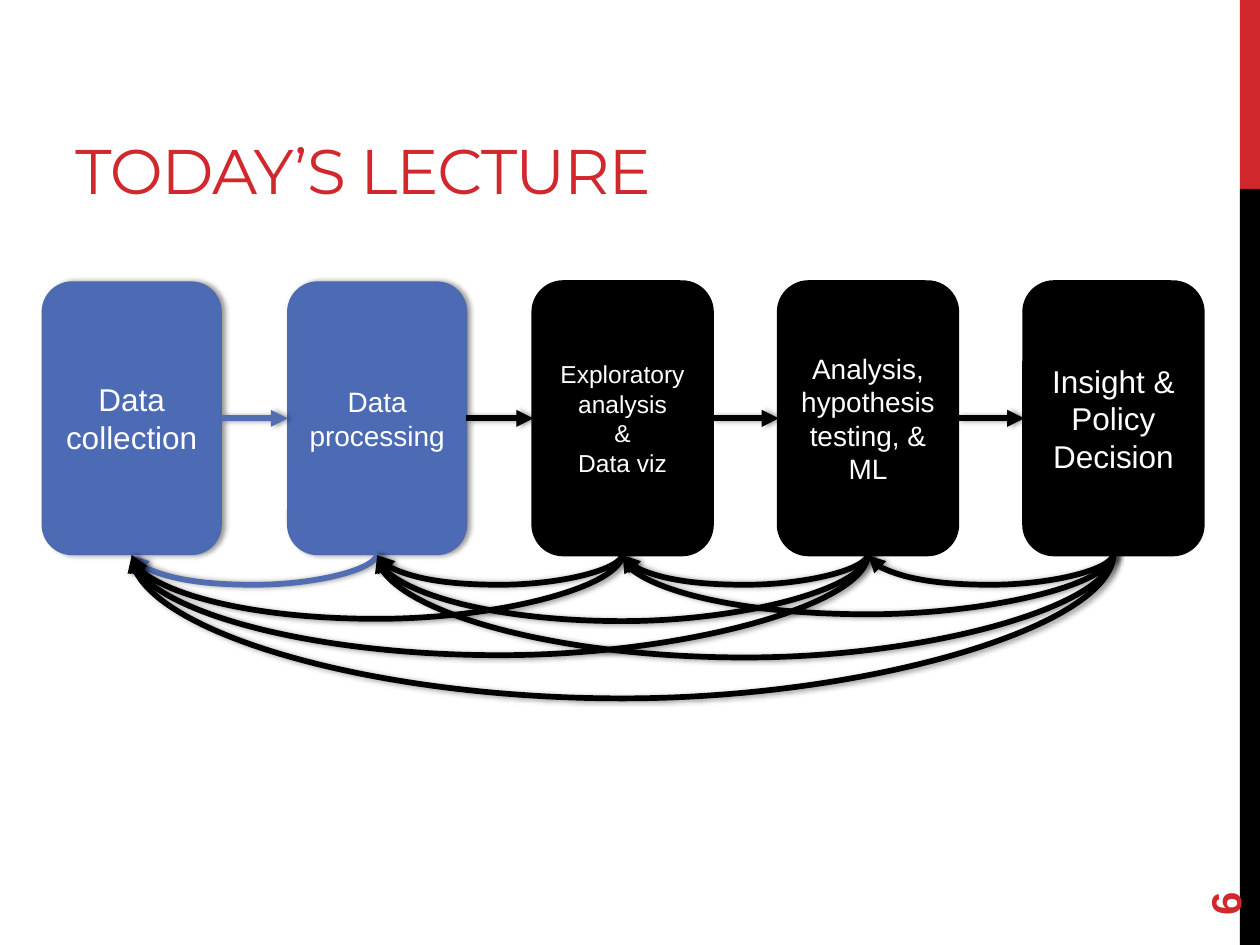
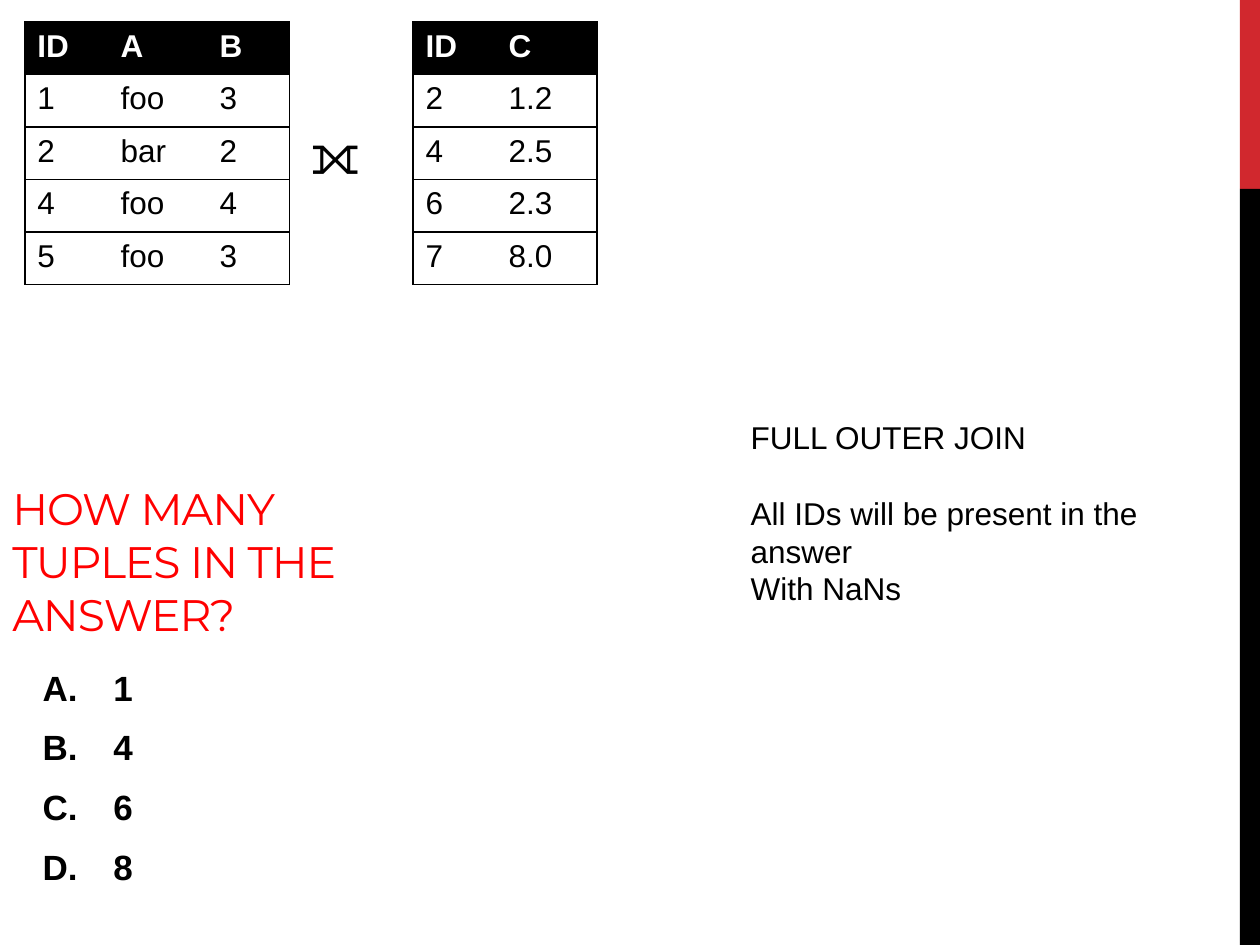
"""Build two lecture slides: the data pipeline and an outer join question."""
from dataclasses import dataclass
from typing import Any

from lxml import etree
from pptx import Presentation
from pptx.dml import color
from pptx.enum import shapes, text
from pptx.oxml import ns
from pptx.util import Pt

BLACK, WHITE, RED, BRIGHT_RED = "000000", "FFFFFF", "D1282E", "FF0000"
BLUE, BLUE_EDGE, BLUE_ARROW = "4D6BB5", "4E6AAE", "526DB0"
BODY_FONT, TITLE_FONT = "Arial", "Montserrat"
MIDDLE, BOTTOM = text.MSO_ANCHOR.MIDDLE, text.MSO_ANCHOR.BOTTOM
SIDE_LEFT, SIDE_BOTTOM, SIDE_RIGHT = 1, 2, 3
STAGE_LEFT, STAGE_TOP, STAGE_STEP = 24.3, 161.3, 140.25
STAGE_WIDTH, STAGE_HEIGHT = 102, 155.5
ROW_HEIGHT = 30


@dataclass(frozen=True)
class Area:
    """A rectangle in points."""
    left: float
    top: float
    width: float
    height: float

    def lengths(self) -> list:
        """Return the four sides as lengths."""
        return [Pt(v) for v in (self.left, self.top, self.width, self.height)]


@dataclass(frozen=True)
class Style:
    """The look of a run of text."""
    size: float = 18
    ink: str = BLACK
    font: str = BODY_FONT
    bold: bool = False
    spacing: int = 0


@dataclass(frozen=True)
class Stage:
    """One pipeline step, with the depth of each arc back to an earlier step."""
    lines: tuple
    size: float
    done: bool
    depths: tuple = ()


@dataclass(frozen=True)
class Relation:
    """A table of tuples and its place."""
    left: float
    widths: tuple
    rows: tuple


STAGES = (
    Stage(("Data collection",), 18, True),
    Stage(("Data processing",), 16, True, (18,)),
    Stage(("Exploratory analysis", "&", "Data viz"), 14, False, (18, 37.64)),
    Stage(("Analysis, hypothesis testing, & ML",), 16, False, (18, 38.95, 58.58)),
    Stage(("Insight & Policy Decision",), 18, False, (18, 35.02, 59.89, 83.46)),
)
RELATIONS = (
    Relation(14.2, (47.5, 56.6, 47.2), (
        ("ID", "A", "B"), ("1", "foo", "3"), ("2", "bar", "2"),
        ("4", "foo", "4"), ("5", "foo", "3"))),
    Relation(236, (47.5, 57.6), (
        ("ID", "C"), ("2", "1.2"), ("4", "2.5"), ("6", "2.3"), ("7", "8.0"))),
)


def rgb(value: str) -> color.RGBColor:
    """Turn a hex string into a colour."""
    return color.RGBColor.from_string(value)


def apply(target: Any, values: dict) -> None:
    """Set each named attribute of an object."""
    for name, value in values.items():
        setattr(target, name, value)


def child(parent: Any, tag: str, **attributes: Any) -> Any:
    """Append a drawing element to its parent."""
    return etree.SubElement(parent, ns.qn(f"a:{tag}"),
                            {name: str(value) for name, value in attributes.items()})


def add_shadow(effects: Any) -> None:
    """Give an effect list a soft shadow to the right."""
    shadow = child(effects, "outerShdw", blurRad=Pt(3.1), dist=Pt(1.8), dir=0, rotWithShape=0)
    child(child(shadow, "srgbClr", val=BLACK), "alpha", val=40000)


def write(para: Any, words: str, style: Style) -> None:
    """Write one styled run into a paragraph."""
    span = para.add_run()
    span.text = words
    apply(span.font, {"size": Pt(style.size), "name": style.font, "bold": style.bold})
    span.font.color.rgb = rgb(style.ink)
    if style.spacing:
        span._r.get_or_add_rPr().set("spc", str(style.spacing))


def fill_frame(frame: Any, lines: tuple, style: Style, **layout: Any) -> list:
    """Write one paragraph per line and return the paragraphs."""
    apply(frame, {"word_wrap": True, **layout})
    for _ in lines[1:]:
        frame.add_paragraph()
    for para, words in zip(frame.paragraphs, lines):
        write(para, words, style)
    return list(frame.paragraphs)


def add_text(page: Any, area: Area, lines: tuple, style: Style, **layout: Any) -> Any:
    """Add a text box."""
    box = page.shapes.add_textbox(*area.lengths())
    fill_frame(box.text_frame, lines, style, **layout)
    return box


def add_title(page: Any, area: Area, words: str, size: float, ink: str) -> None:
    """Add a title resting on the bottom of its area."""
    add_text(page, area, (words,), Style(size, ink, TITLE_FONT, spacing=-60),
             vertical_anchor=BOTTOM, margin_bottom=Pt(2))


def add_page(deck: Any) -> Any:
    """Add a blank page with the bands at its right edge."""
    page = deck.slides.add_slide(deck.slide_layouts[6])
    for top, height, ink in ((0, 108, RED), (108, 432, BLACK)):
        band = page.shapes.add_shape(shapes.MSO_SHAPE.RECTANGLE,
                                     *Area(708.5, top, 11.5, height).lengths())
        band.shadow.inherit = False
        band.fill.solid()
        band.fill.fore_color.rgb = rgb(ink)
        band.line.fill.background()
    return page


def add_stage(page: Any, index: int, stage: Stage) -> Any:
    """Add the rounded box of one pipeline step."""
    area = Area(STAGE_LEFT + index * STAGE_STEP, STAGE_TOP, STAGE_WIDTH, STAGE_HEIGHT)
    box = page.shapes.add_shape(shapes.MSO_SHAPE.ROUNDED_RECTANGLE, *area.lengths())
    box.shadow.inherit = False
    box.fill.solid()
    box.fill.fore_color.rgb = rgb(BLUE if stage.done else BLACK)
    box.line.color.rgb = rgb(BLUE_EDGE if stage.done else BLACK)
    box.line.width = Pt(1 if stage.done else 2.25)
    if stage.done:
        add_shadow(box._element.spPr.find(ns.qn("a:effectLst")))
    for para in fill_frame(box.text_frame, stage.lines, Style(stage.size, WHITE),
                           vertical_anchor=MIDDLE):
        para.alignment = text.PP_ALIGN.CENTER
    return box


def join(page: Any, kind: Any, start: tuple, end: tuple, ink: str) -> Any:
    """Join two box sides, each given as box and side, with an arrow."""
    arrow = page.shapes.add_connector(kind, 0, 0, 0, 0)
    arrow.begin_connect(*start)
    arrow.end_connect(*end)
    arrow.line.color.rgb = rgb(ink)
    arrow.line.width = Pt(3.25)
    child(arrow.line._get_or_add_ln(), "tailEnd", type="triangle")
    add_shadow(child(arrow._element.spPr, "effectLst"))
    return arrow


def add_arc(page: Any, source: Any, target: Any, depth: float, ink: str) -> None:
    """Add an arc that hangs below the boxes, turned a quarter from its frame."""
    arc = join(page, shapes.MSO_CONNECTOR.CURVE, (source, SIDE_BOTTOM),
               (target, SIDE_BOTTOM), ink)
    reach = source.left - target.left
    middle = (source.left + target.left + source.width) // 2
    bottom = source.top + source.height
    apply(arc, {"left": middle - Pt(0.5), "top": bottom - reach // 2,
                "width": Pt(1), "height": reach})
    properties = arc._element.spPr
    apply(properties.xfrm, {"flipH": False, "flipV": False, "rot": 90.0})
    geometry = properties.find(ns.qn("a:prstGeom"))
    child(geometry.find(ns.qn("a:avLst")), "gd", name="adj1",
          fmla=f"val {round(depth * 100000)}")


def add_relation(page: Any, relation: Relation) -> None:
    """Add a table with a black header and ruled rows."""
    rows, widths = relation.rows, relation.widths
    area = Area(relation.left, 12.7, sum(widths), ROW_HEIGHT * len(rows))
    table = page.shapes.add_table(len(rows), len(widths), *area.lengths()).table
    table.horz_banding = False
    for column, width in zip(table.columns, widths):
        column.width = Pt(width)
    for r, row in enumerate(rows):
        table.rows[r].height = Pt(ROW_HEIGHT)
        for c, words in enumerate(row):
            cell = table.cell(r, c)
            ruled = {"lnL": c == 0, "lnR": c == len(row) - 1, "lnT": True, "lnB": True}
            for edge, visible in ruled.items():
                line = child(cell._tc.get_or_add_tcPr(), edge, w=Pt(1))
                if visible:
                    child(child(line, "solidFill"), "srgbClr", val=BLACK)
                else:
                    child(line, "noFill")
            cell.fill.solid()
            cell.fill.fore_color.rgb = rgb(WHITE if r else BLACK)
            write(cell.text_frame.paragraphs[0], words,
                  Style(ink=BLACK if r else WHITE, bold=r == 0))


def build_pipeline(deck: Any) -> None:
    """Build the page that shows the steps of the lecture."""
    page = add_page(deck)
    add_title(page, Area(36, 12.2, 456, 108), "TODAY’S LECTURE", 36, RED)
    number = add_text(page, Area(648, 463.7, 103.7, 28.8), ("6",),
                      Style(24, RED, bold=True), vertical_anchor=MIDDLE)
    number.rotation = 270
    boxes = []
    for index, stage in enumerate(STAGES):
        box = add_stage(page, index, stage)
        ink = BLUE_ARROW if stage.done else BLACK
        if boxes:
            join(page, shapes.MSO_CONNECTOR.STRAIGHT, (boxes[-1], SIDE_RIGHT),
                 (box, SIDE_LEFT), ink)
        for target, depth in zip(reversed(boxes), stage.depths):
            add_arc(page, box, target, depth, ink)
        boxes.append(box)


def build_question(deck: Any) -> None:
    """Build the page that asks about the full outer join."""
    page = add_page(deck)
    add_title(page, Area(0, 308.9, 230.4, 59), "HOW MANY TUPLES IN THE ANSWER?",
              25.2, BRIGHT_RED)
    answers = add_text(page, Area(17.3, 377.3, 324, 162.7), ("1", "4", "6", "8"),
                       Style(20, bold=True))
    for index, para in enumerate(answers.text_frame.paragraphs):
        apply(para, {"space_before": Pt(4 if index else 0), "space_after": Pt(6)})
        properties = para._p.get_or_add_pPr()
        properties.set("marL", str(Pt(40.5)))
        properties.set("indent", str(-Pt(40.5)))
        child(properties, "buFont", typeface=BODY_FONT)
        child(properties, "buAutoNum", type="alphaUcPeriod")
    for relation in RELATIONS:
        add_relation(page, relation)
    add_text(page, Area(170.6, 64, 52.6, 46), ("⟗",), Style(32))
    note = add_text(page, Area(421.9, 235.4, 277.9, 94.3),
                    ("FULL OUTER JOIN", "All IDs will be present in the answer", "With NaNs"),
                    Style())
    note.text_frame.paragraphs[1].space_before = Pt(21.6)


def main() -> None:
    """Build and save the deck."""
    deck = Presentation()
    apply(deck, {"slide_width": Pt(720), "slide_height": Pt(540)})
    build_pipeline(deck)
    build_question(deck)
    deck.save("out.pptx")


if __name__ == "__main__":
    main()
